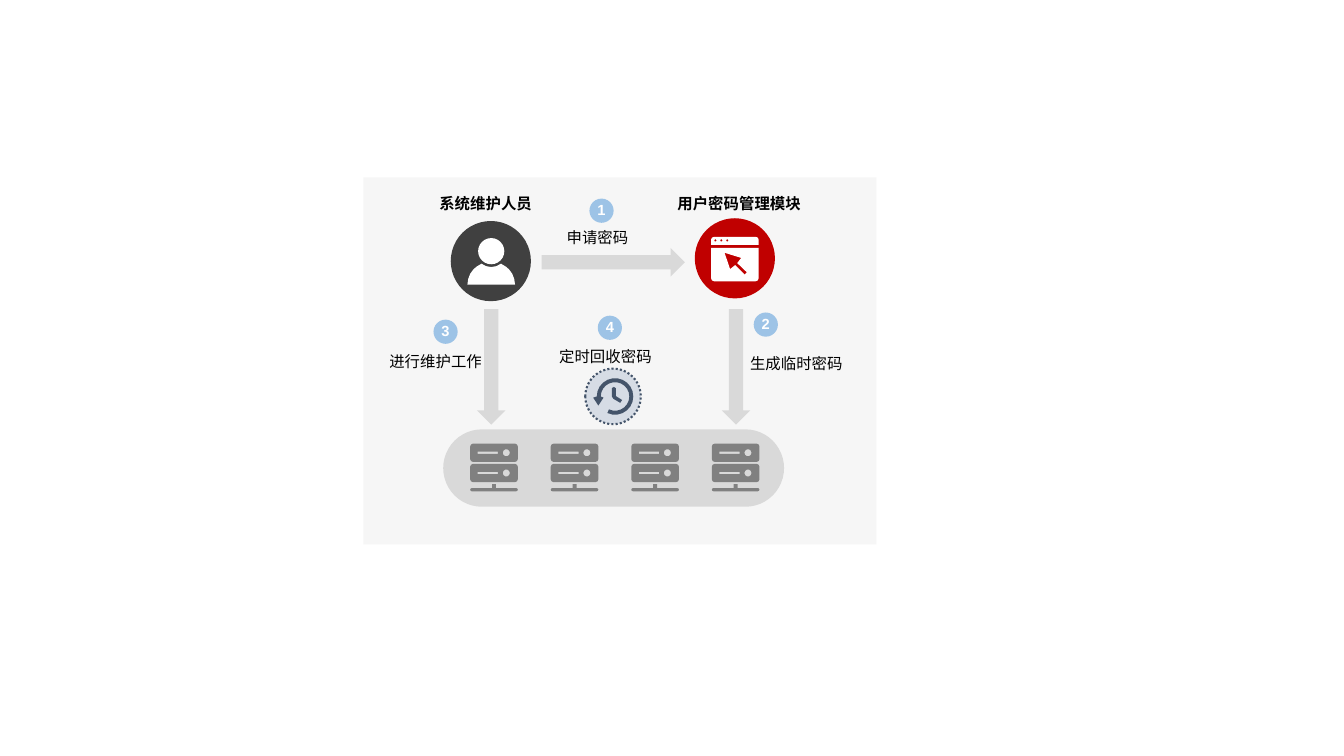
from dataclasses import dataclass
from math import cos, radians, sin

from lxml.etree import SubElement
from pptx import Presentation
from pptx.dml.color import RGBColor
from pptx.enum.dml import MSO_LINE
from pptx.enum.shapes import MSO_SHAPE as Preset
from pptx.enum.text import MSO_ANCHOR as Anchor, PP_ALIGN as Align
from pptx.oxml.ns import qn
from pptx.util import Cm, Pt


@dataclass(frozen=True)
class Theme:
    panel: str = "F2F2F2"
    panel_opacity: int = 64
    grey: str = "D9D9D9"
    server: str = "808080"
    user: str = "404040"
    module: str = "C00000"
    clock_face: str = "D6DCE5"
    clock: str = "44546A"
    step: str = "9DC3E6"
    white: str = "FFFFFF"
    black: str = "000000"
    label_font: str = "Noto Sans CJK SC"
    number_font: str = "Arial"
    label_size: float = 11
    number_size: float = 10.5


theme = Theme()

# Content: text, centre x, centre y (cm), bold
LABELS = [
    ("系统维护人员", 12.24, 5.12, True),
    ("用户密码管理模块", 18.63, 5.12, True),
    ("申请密码", 15.06, 5.98, False),
    ("生成临时密码", 20.07, 9.16, False),
    ("进行维护工作", 10.98, 9.1, False),
    ("定时回收密码", 15.26, 8.98, False),
]
STEPS = [("1", 15.16, 5.31), ("2", 19.3, 8.18), ("3", 11.23, 8.36), ("4", 15.37, 8.26)]

# Layout (cm): left, top, width, height
PANEL = (9.16, 4.47, 12.93, 9.25)
POOL = (11.17, 10.82, 8.59, 1.95)
ARROWS = [
    (Preset.RIGHT_ARROW, (13.65, 6.25, 3.61, 0.72)),
    (Preset.DOWN_ARROW, (12.02, 7.79, 0.72, 2.91)),
    (Preset.DOWN_ARROW, (18.19, 7.79, 0.72, 2.91)),
]
SERVER_COUNT, SERVER_LEFT, SERVER_TOP, SERVER_PITCH = 4, 11.85, 11.18, 2.03
STEP_SIZE, LABEL_HEIGHT, LABEL_MARGIN = 0.61, 0.74, 0.25
UNITS_PER_CM = 1000


# Outline geometry (cm)
def arc(x, y, radius, start, end, steps):
    if not radius:
        return [(x, y)]
    angles = [radians(start + (end - start) * i / steps) for i in range(steps + 1)]
    return [(x + radius * cos(a), y + radius * sin(a)) for a in angles]


def circle(x, y, radius, sides=10):
    return arc(x, y, radius, 0, 360, sides)[:-1]


def box(left, top, width, height, upper=0, lower=0):
    """Rectangle with its upper and lower corner radii."""
    right, bottom = left + width, top + height
    return (arc(left + upper, top + upper, upper, 180, 270, 2)
            + arc(right - upper, top + upper, upper, 270, 360, 2)
            + arc(right - lower, bottom - lower, lower, 0, 90, 2)
            + arc(left + lower, bottom - lower, lower, 90, 180, 2))


def server_unit(top):
    return [box(0, top, 1.2, 0.46, 0.07, 0.07),
            box(0.19, top + 0.2, 0.51, 0.06),
            circle(0.91, top + 0.23, 0.09)]


SERVER_ICON = (server_unit(0) + server_unit(0.51)
               + [box(0.55, 1.02, 0.1, 0.1), box(0, 1.12, 1.2, 0.08, 0.04, 0.04)])
LEFT_SHOULDER = [(0, 1.17), (0.02, 1.03), (0.07, 0.9), (0.15, 0.79), (0.23, 0.72),
                 (0.33, 0.66)]
RIGHT_SHOULDER = [(1.2 - x, y) for x, y in reversed(LEFT_SHOULDER)]
USER_ICON = [
    circle(0.6, 0.33, 0.33, 24),
    LEFT_SHOULDER + arc(0.6, 0.33, 0.4, 128, 52, 4) + RIGHT_SHOULDER,
]
WINDOW_ICON = [
    box(0, 0, 1.2, 0.2, 0.07),
    *[circle(x, 0.09, 0.03, 6) for x in (0.11, 0.26, 0.41)],
    box(0, 0.28, 1.2, 0.84, 0, 0.08),
    [(0.34, 0.4), (0.48, 0.81), (0.61, 0.71), (0.85, 0.95), (0.9, 0.89),
     (0.66, 0.66), (0.76, 0.53)],
]
CLOCK_ICON = [
    arc(0.56, 0.46, 0.46, 180, 475, 18) + arc(0.56, 0.46, 0.36, 475, 180, 18)
    + [(0.27, 0.49), (0.14, 0.69), (0.01, 0.49), (0.1, 0.46)],
    [(0.48, 0.25), (0.53, 0.22), (0.58, 0.25), (0.58, 0.45), (0.74, 0.55),
     (0.69, 0.62), (0.52, 0.52), (0.48, 0.46)],
]
# Centre x, centre y, diameter, fill, outline, icon, icon left, icon top, icon fill
BADGES = [
    (12.37, 6.58, 2.02, theme.user, None, USER_ICON, 11.78, 6.0, theme.white),
    (18.52, 6.51, 2.02, theme.module, None, WINDOW_ICON, 17.92, 5.97, theme.white),
    (15.45, 9.99, 1.4, theme.clock_face, theme.clock, CLOCK_ICON, 14.94, 9.53, theme.clock),
]


# Drawing helpers
def paint(shape, color):
    shape.shadow.inherit = False
    shape.fill.solid()
    shape.fill.fore_color.rgb = RGBColor.from_string(color)
    shape.line.fill.background()
    return shape


def add_preset(shapes, preset, place, color):
    return paint(shapes.add_shape(preset, *map(Cm, place)), color)


def add_icon(shapes, contours, left, top, color):
    scaled = [[(round((left + x) * UNITS_PER_CM), round((top + y) * UNITS_PER_CM))
               for x, y in contour] for contour in contours]
    builder = shapes.build_freeform(*scaled[0][0], scale=Cm(1) / UNITS_PER_CM)
    for index, contour in enumerate(scaled):
        if index:
            builder.move_to(*contour[0])
        builder.add_line_segments(contour[1:], close=True)
    return paint(builder.convert_to_shape(), color)


def centred(x, y, width, height):
    return x - width / 2, y - height / 2, width, height


def write(shape, text, font_name, size, color, bold):
    frame = shape.text_frame
    frame.text = text
    frame.vertical_anchor = Anchor.MIDDLE
    frame.margin_left = frame.margin_right = frame.margin_top = frame.margin_bottom = 0
    paragraph = frame.paragraphs[0]
    paragraph.alignment = Align.CENTER
    font = paragraph.runs[0].font
    font.name, font.size, font.bold = font_name, Pt(size), bold
    font.color.rgb = RGBColor.from_string(color)
    SubElement(font._element, qn("a:ea"), typeface=font_name)
    return paragraph


def main():
    presentation = Presentation()
    presentation.slide_width, presentation.slide_height = Cm(33.87), Cm(19.05)
    slide = presentation.slides.add_slide(presentation.slide_layouts[6])
    shapes = slide.shapes

    # Panel, arrows and server pool
    panel = add_preset(shapes, Preset.RECTANGLE, PANEL, theme.panel)
    panel_color = panel.fill._xPr.find(".//" + qn("a:srgbClr"))
    SubElement(panel_color, qn("a:alpha"), val=str(theme.panel_opacity * 1000))
    for preset, place in ARROWS:
        add_preset(shapes, preset, place, theme.grey)
    pool = add_preset(shapes, Preset.ROUNDED_RECTANGLE, POOL, theme.grey)
    pool.adjustments[0] = 0.5
    for index in range(SERVER_COUNT):
        add_icon(shapes, SERVER_ICON, SERVER_LEFT + index * SERVER_PITCH, SERVER_TOP,
                 theme.server)

    # Round badges
    for x, y, size, fill, outline, icon, left, top, icon_fill in BADGES:
        group = shapes.add_group_shape()
        disc = add_preset(group.shapes, Preset.OVAL, centred(x, y, size, size), fill)
        if outline:
            disc.line.color.rgb = RGBColor.from_string(outline)
            disc.line.width = Pt(1.5)
            disc.line.dash_style = MSO_LINE.ROUND_DOT
        add_icon(group.shapes, icon, left, top, icon_fill)

    # Labels and step numbers
    for text, x, y, bold in LABELS:
        width = len(text) * Pt(theme.label_size).cm + 2 * LABEL_MARGIN
        label = shapes.add_textbox(*map(Cm, centred(x, y, width, LABEL_HEIGHT)))
        write(label, text, theme.label_font, theme.label_size, theme.black, bold)
        label.text_frame.word_wrap = False
    for number, x, y in STEPS:
        step = add_preset(shapes, Preset.FLOWCHART_CONNECTOR,
                          centred(x, y, STEP_SIZE, STEP_SIZE), theme.step)
        paragraph = write(step, number, theme.number_font, theme.number_size,
                          theme.white, True)
        paragraph.line_spacing = 0.9

    presentation.save("out.pptx")


if __name__ == "__main__":
    main()
